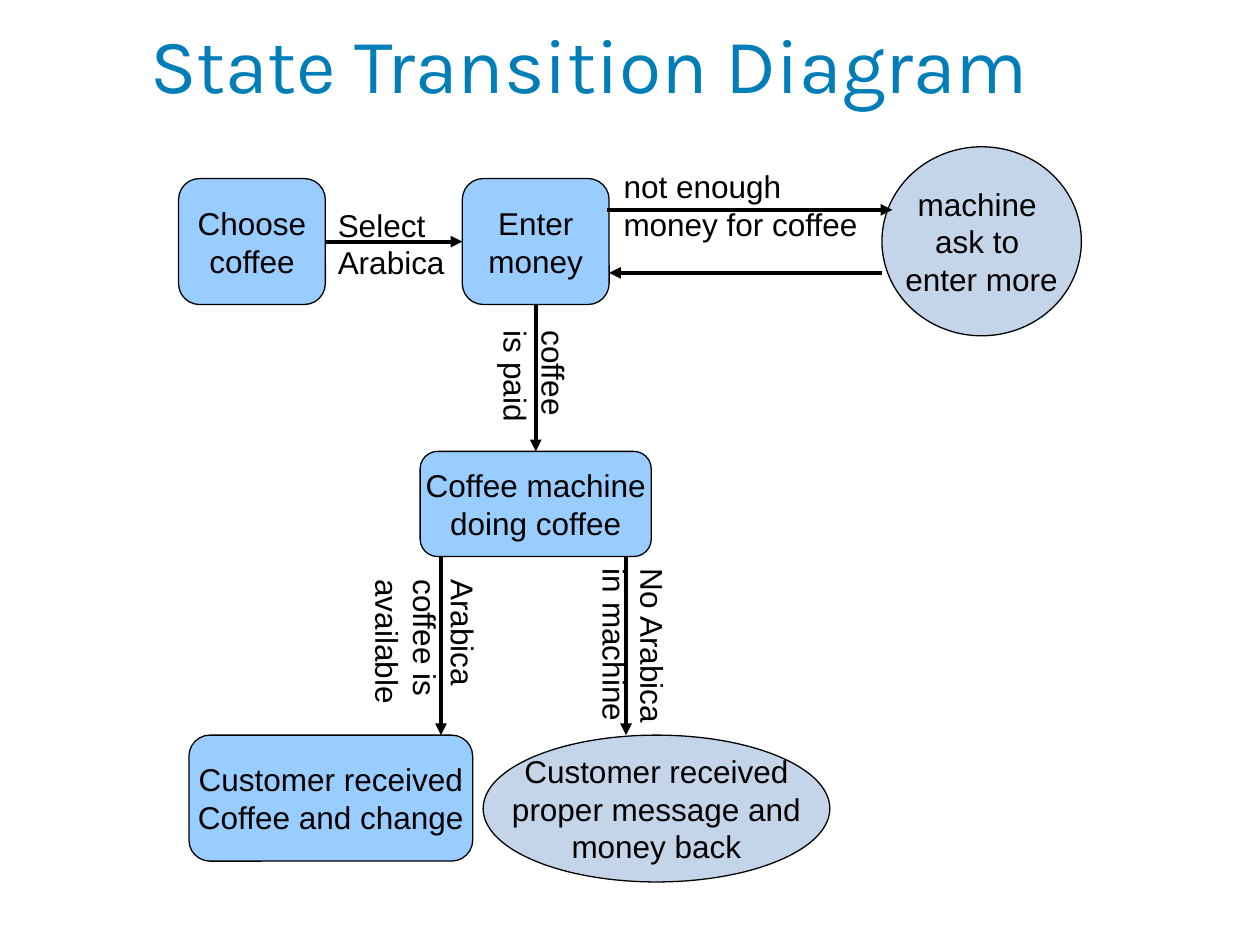
from dataclasses import dataclass

from lxml.etree import SubElement
from pptx import Presentation
from pptx.dml.color import RGBColor
from pptx.enum.shapes import MSO_CONNECTOR, MSO_SHAPE
from pptx.enum.text import MSO_ANCHOR, MSO_AUTO_SIZE, PP_ALIGN
from pptx.oxml.ns import qn
from pptx.util import Cm, Pt


@dataclass(frozen=True)
class Theme:
    title: RGBColor = RGBColor(0x01, 0x7E, 0xB8)
    ink: RGBColor = RGBColor(0, 0, 0)
    state: RGBColor = RGBColor(0x99, 0xCC, 0xFF)
    end_state: RGBColor = RGBColor(0xC5, 0xD5, 0xE9)
    title_font: str = "Karla"
    body_font: str = "Arial"
    title_size: int = 44
    body_size: int = 18
    outline: float = 0.75
    arrow: float = 2.25


THEME = Theme()
TOP, LEFT, BOTTOM, RIGHT = range(4)


def write(shape, text, size=THEME.body_size, font=THEME.body_font, color=THEME.ink,
          align=PP_ALIGN.LEFT, anchor=MSO_ANCHOR.TOP, wrap=False):
    """Fill the shape with one paragraph for each line of text."""
    frame = shape.text_frame
    frame.word_wrap = wrap
    frame.vertical_anchor = anchor
    for index, line in enumerate(text.split("\n")):
        para = frame.add_paragraph() if index else frame.paragraphs[0]
        para.alignment = align
        span = para.add_run()
        span.text = line
        span.font.size = Pt(size)
        span.font.name = font
        span.font.color.rgb = color


def add_state(page, text, left, top, width, height, final=False):
    """Draw a rounded state, or an ellipse for a final one."""
    kind = MSO_SHAPE.OVAL if final else MSO_SHAPE.ROUNDED_RECTANGLE
    box = page.shapes.add_shape(kind, Cm(left), Cm(top), Cm(width), Cm(height))
    box.shadow.inherit = False
    box.fill.solid()
    box.fill.fore_color.rgb = THEME.end_state if final else THEME.state
    box.line.color.rgb = THEME.ink
    box.line.width = Pt(THEME.outline)
    write(box, text, align=PP_ALIGN.CENTER, anchor=MSO_ANCHOR.MIDDLE)
    return box


def add_label(page, text, left, top, width, height, rotation=0, vertical=False):
    box = page.shapes.add_textbox(Cm(left), Cm(top), Cm(width), Cm(height))
    box.rotation = rotation
    write(box, text)
    box.text_frame.auto_size = MSO_AUTO_SIZE.SHAPE_TO_FIT_TEXT
    if vertical:
        box.text_frame._txBody.bodyPr.set("vert", "eaVert")


def add_arrow(page, start=(0, 0), end=(0, 0)):
    points = [Cm(value) for value in (*start, *end)]
    arrow = page.shapes.add_connector(MSO_CONNECTOR.STRAIGHT, *points)
    arrow.line.color.rgb = THEME.ink
    arrow.line.width = Pt(THEME.arrow)
    SubElement(arrow.line._get_or_add_ln(), qn("a:tailEnd"), type="triangle")
    SubElement(arrow._element.spPr, qn("a:effectLst"))
    return arrow


def join(page, source, source_side, target, target_side):
    arrow = add_arrow(page)
    arrow.begin_connect(source, source_side)
    arrow.end_connect(target, target_side)


def add_title(page, left, top, width, height):
    box = page.shapes.add_textbox(Cm(left), Cm(top), Cm(width), Cm(height))
    write(box, "State Transition Diagram ", size=THEME.title_size, font=THEME.title_font,
          color=THEME.title, align=PP_ALIGN.CENTER, anchor=MSO_ANCHOR.MIDDLE, wrap=True)


def add_payment(page, left, top):
    """Draw the upper row and return the state that leads on."""
    choose = add_state(page, "Choose\ncoffee", left, top + 0.64, 2.96, 2.54)
    enter = add_state(page, "Enter\nmoney", left + 5.72, top + 0.64, 2.96, 2.54)
    add_state(page, "machine \nask to \nenter more", left + 14.18, top, 4.02, 3.81, final=True)
    join(page, choose, RIGHT, enter, LEFT)
    add_arrow(page, (left + 8.64, top + 1.27), (left + 14.39, top + 1.27))
    add_arrow(page, (left + 14.18, top + 2.54), (left + 8.68, top + 2.54))
    add_label(page, "Select\nArabica", left + 2.96, top + 1.06, 2.67, 1.78)
    add_label(page, "not enough\nmoney for coffee", left + 8.72, top + 0.29, 5.28, 1.78)
    return enter


def add_outcome(page, left, top):
    """Draw the lower branches and return the state they start from."""
    branch_top, branch_end = top + 2.12, top + 5.72
    machine = add_state(page, "Coffee machine\ndoing coffee", left + 4.66, top, 4.66, 2.12)
    add_state(page, "Customer received\nCoffee and change", left, branch_end, 5.72, 2.54)
    add_state(page, "Customer received\nproper message and\nmoney back",
              left + 5.93, branch_end, 6.99, 2.96, final=True)
    for x in (left + 5.08, left + 8.81):
        add_arrow(page, (x, branch_top), (x, branch_end))
    add_label(page, "Arabica\ncoffee is\navailable", left + 3.25, top + 2.33, 2.79, 2.79,
              vertical=True)
    add_label(page, "No Arabica\nin machine", left + 7.8, branch_top, 2.06, 3.4, vertical=True)
    return machine


def main():
    deck = Presentation()
    deck.slide_width, deck.slide_height = Cm(25.4), Cm(19.05)
    page = deck.slides.add_slide(deck.slide_layouts[6])
    add_title(page, 0.64, 0, 22.86, 2.54)
    enter = add_payment(page, 3.6, 2.96)
    machine = add_outcome(page, 3.81, 9.1)
    join(page, enter, BOTTOM, machine, TOP)
    add_label(page, "coffee\nis paid", 9.58, 6.73, 2.41, 1.78, rotation=90)
    deck.save("out.pptx")


if __name__ == "__main__":
    main()
